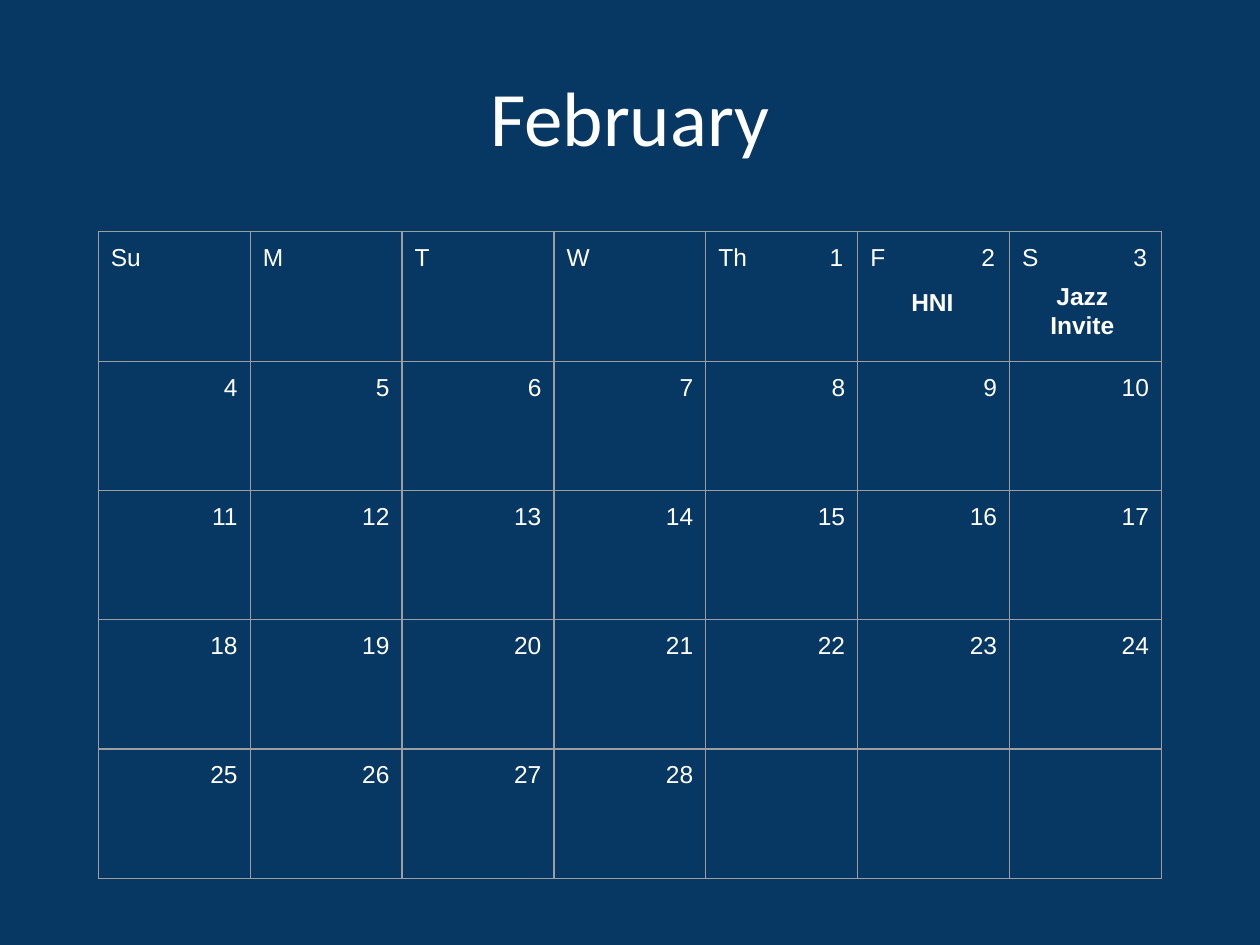
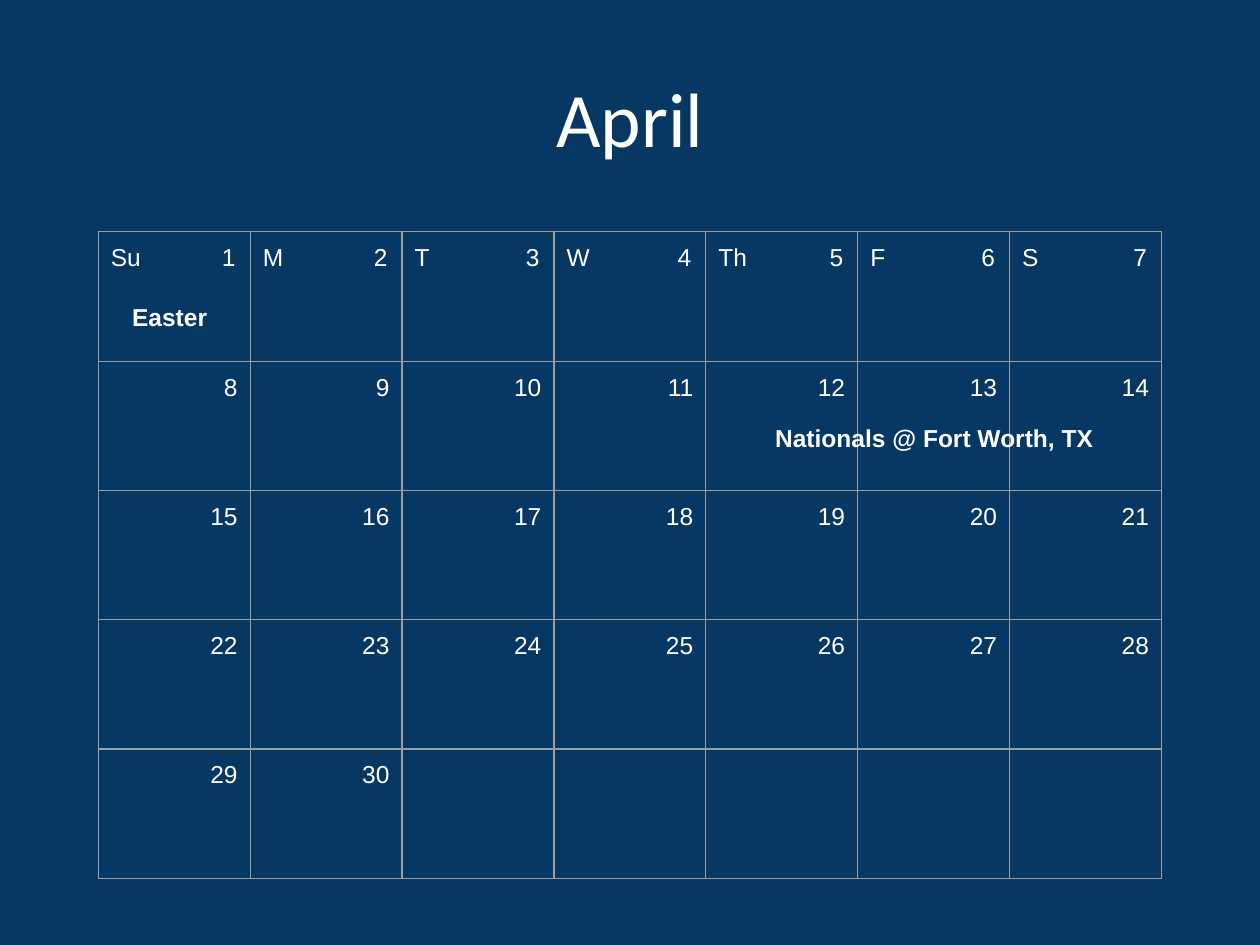
"""Build two monthly calendar slides on a dark blue background."""
from lxml import etree
from pptx import Presentation
from pptx import util as u
from pptx.dml.color import RGBColor
from pptx.enum import text
from pptx.oxml import ns

NAVY = RGBColor(0x07, 0x37, 0x63)
WHITE = RGBColor(0xFF, 0xFF, 0xFF)
GREY = RGBColor(0x9E, 0x9E, 0x9E)
PX = 9144
INSET = 10
WEEKDAYS = ["Su", "M", "T", "W", "Th", "F", "S"]
WEEKS = 5
LEFT, CENTER, RIGHT = text.PP_ALIGN.LEFT, text.PP_ALIGN.CENTER, text.PP_ALIGN.RIGHT


def px(*lengths):
    """Turn px into EMU."""
    return [u.Emu(n * PX) for n in lengths]


class Calendar:
    """Hold the shared style and the current slide."""

    def __init__(self):
        self.prs = Presentation()
        self.prs.slide_width, self.prs.slide_height = px(1000, 750)
        self.s = None

    def inset(self, box):
        """Give a text frame or a cell equal margins."""
        margin = u.Emu(INSET * PX)
        box.margin_left = box.margin_right = margin
        box.margin_top = box.margin_bottom = margin

    def label(self, tf, words, size=14, font="Arial", bold=False, align=LEFT):
        """Set the text of a frame and format it."""
        tf.text = words
        p = tf.paragraphs[0]
        p.alignment = align
        for r in p.runs:
            r.font.size, r.font.name, r.font.bold = u.Pt(size), font, bold
            r.font.color.rgb = WHITE

    def month(self, name, top):
        """Start a slide titled with the month."""
        self.s = self.prs.slides.add_slide(self.prs.slide_layouts[5])
        fill = self.s.background.fill
        fill.solid()
        fill.fore_color.rgb = NAVY
        sp = self.s.shapes.title
        sp.left, sp.top, sp.width, sp.height = px(50, top, 900, 125)
        tf = sp.text_frame
        tf.auto_size = text.MSO_AUTO_SIZE.NONE
        tf.vertical_anchor = text.MSO_ANCHOR.MIDDLE
        self.inset(tf)
        self.label(tf, name, 44, "Calibri", align=CENTER)

    def border(self, cell):
        """Draw a thin grey line on all four sides of a cell."""
        tc_pr = cell._tc.get_or_add_tcPr()
        for side in "LRTB":
            ln = etree.SubElement(tc_pr, ns.qn(f"a:ln{side}"), w=str(u.Pt(0.75)))
            fill = etree.SubElement(ln, ns.qn("a:solidFill"))
            etree.SubElement(fill, ns.qn("a:srgbClr"), val=str(GREY))

    def tab(self, p, position):
        """Add a right-aligned tab stop."""
        tabs = etree.SubElement(p._p.get_or_add_pPr(), ns.qn("a:tabLst"))
        etree.SubElement(tabs, ns.qn("a:tab"), pos=str(position * PX), algn="r")

    def grid(self, first, days):
        """Draw the weeks of a month whose day 1 falls in column first."""
        cols = len(WEEKDAYS)
        x, y, w, h = px(78, 184, 844, 513)
        table = self.s.shapes.add_table(WEEKS, cols, x, y, w, h).table
        table.first_row = table.horz_banding = False
        for col in table.columns:
            col.width = w // cols
        for row in table.rows:
            row.height = h // WEEKS
        for i, cell in enumerate(table.iter_cells()):
            row, col = divmod(i, cols)
            number = i - first + 1
            day = str(number) if 1 <= number <= days else ""
            self.inset(cell)
            self.border(cell)
            cell.fill.background()
            if row:
                self.label(cell.text_frame, day, align=RIGHT)
            else:
                words = f"{WEEKDAYS[col]}\t{day}" if day else WEEKDAYS[col]
                self.label(cell.text_frame, words)
                self.tab(cell.text_frame.paragraphs[0], 99)

    def event(self, words, x, y, w, h, align=CENTER):
        """Place a bold event label over the grid."""
        tf = self.s.shapes.add_textbox(*px(x, y, w, h)).text_frame
        tf.word_wrap = True
        self.inset(tf)
        self.label(tf, words, bold=True, align=align)


def main():
    """Build and save the slides."""
    c = Calendar()
    c.month("February", 29)
    c.grid(first=4, days=28)
    c.event("HNI", 699, 218, 82, 50)
    c.event("Jazz Invite", 818, 213, 82, 61)

    c.month("April", 30)
    c.grid(first=0, days=30)
    c.event("Nationals @ Fort Worth, TX", 571, 326, 341, 57)
    c.event("Easter", 95, 230, 99, 42, LEFT)
    c.prs.save("out.pptx")


if __name__ == "__main__":
    main()
